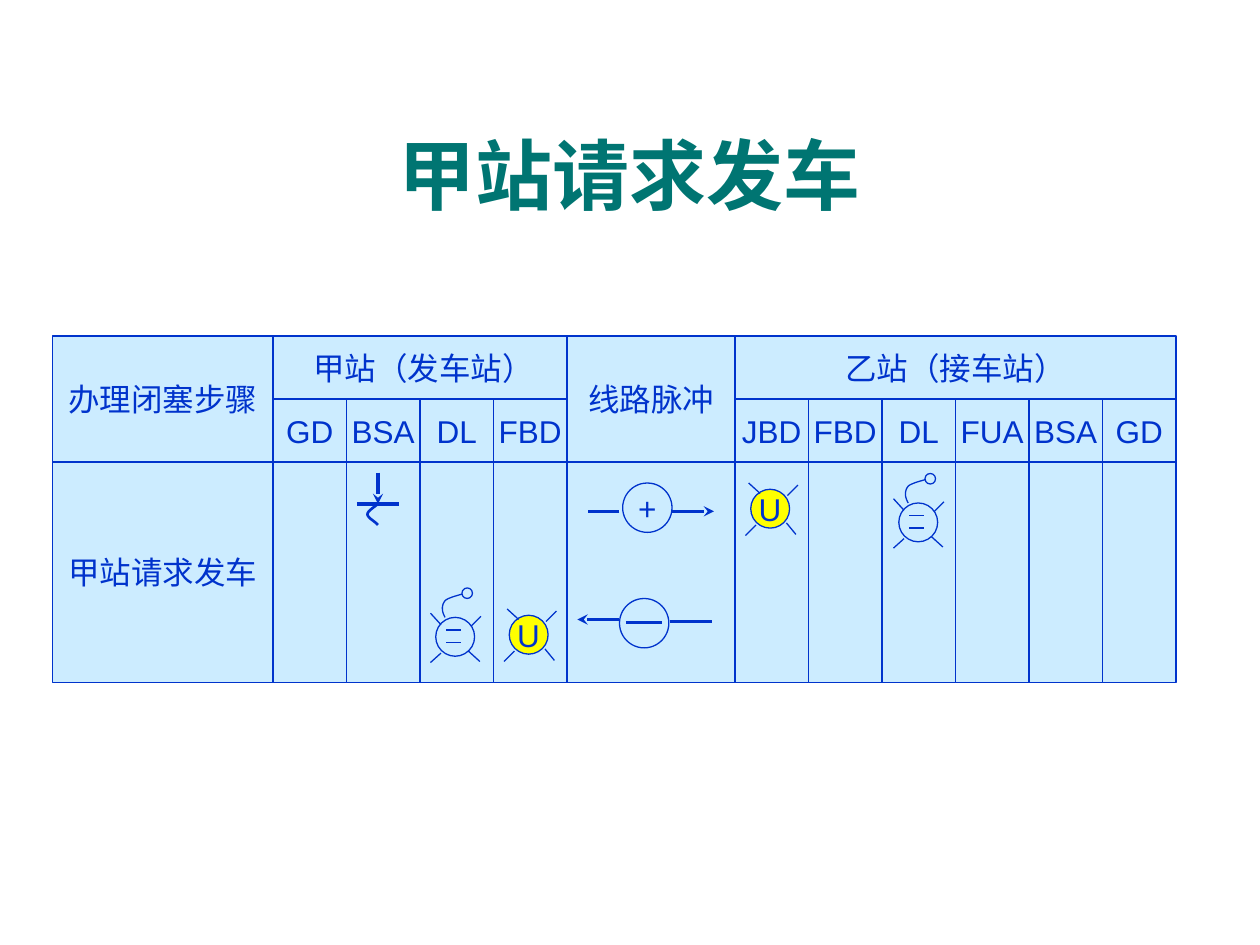
from lxml import etree
from pptx import Presentation
from pptx.dml.color import RGBColor
from pptx.enum.shapes import MSO_CONNECTOR, MSO_SHAPE
from pptx.enum.text import MSO_ANCHOR, PP_ALIGN
from pptx.oxml.ns import qn
from pptx.util import Pt

RECT, OVAL = MSO_SHAPE.RECTANGLE, MSO_SHAPE.OVAL
STRAIGHT = MSO_CONNECTOR.STRAIGHT
MIDDLE, CENTER = MSO_ANCHOR.MIDDLE, PP_ALIGN.CENTER
PX = 7620  # EMU per px, 120 px to the inch

COLORS = {"title": "007572", "ink": "0033CC", "cell": "CCECFF", "lamp": "FFFF00"}
THIN, MEDIUM, THICK = 0.75, 1.5, 1.75

# Grid of the table
TOP, HEAD, BODY, COL = 320, 60, 210, 70
STEP_X, STEP_W = 50, 210
A_X = STEP_X + STEP_W
A_COLS = ["GD", "BSA", "DL", "FBD"]
PULSE_X, PULSE_W = A_X + COL * len(A_COLS), 160
B_X = PULSE_X + PULSE_W
B_COLS = ["JBD", "FBD", "DL", "FUA", "BSA", "GD"]
BODY_Y = TOP + 2 * HEAD

# Symbol parts, measured from the top left of the symbol's circle
LAMP_D, PULSE_D, KNOB_D = 37, 47, 10
LAMP_RAYS = [(-2, -6, 9, 4), (35, 6, 45, -4), (5, 34, -5, 44), (34, 32, 43, 43)]
BELL_LINES = [(-5, -4, 5, 7), (34, 8, 43, -1), (5, 34, -5, 43), (31, 32, 42, 42),
              (10, 12, 24, 12), (10, 24, 24, 24)]
BELL_HOOK = [(9, 0), (6, -5), (5, -11), (9, -16), (12, -19), (25, -22), (28, -23)]


def bezier(p0, p1, p2, p3, steps=10):
    """Points along a cubic curve, without its start."""
    for i in range(1, steps + 1):
        t = i / steps
        u = 1 - t
        yield tuple(u**3 * a + 3 * u * u * t * b + 3 * u * t * t * c + t**3 * d
                    for a, b, c, d in zip(p0, p1, p2, p3))


class Board:
    def __init__(self, slide, font="Arial"):
        self.s = slide
        self.font = font

    def color(self, name):
        return RGBColor.from_string(COLORS[name])

    def label(self, sp, text, size, color="ink", bold=False, wrap=False):
        tf = sp.text_frame
        tf.word_wrap = wrap
        tf.vertical_anchor = MIDDLE
        p = tf.paragraphs[0]
        p.text = text
        p.alignment = CENTER
        p.font.name, p.font.size, p.font.bold = self.font, Pt(size), bold
        p.font.color.rgb = self.color(color)

    def title(self, x, y, w, h, text):
        sp = self.s.shapes.add_textbox(x * PX, y * PX, w * PX, h * PX)
        self.label(sp, text, 44, "title", bold=True, wrap=True)

    def outline(self, sp, width):
        sp.line.color.rgb = self.color("ink")
        sp.line.width = Pt(width)

    def shape(self, kind, x, y, w, h, text="", fill="cell"):
        sp = self.s.shapes.add_shape(kind, x * PX, y * PX, w * PX, h * PX)
        sp.shadow.inherit = False
        sp.fill.solid()
        sp.fill.fore_color.rgb = self.color(fill)
        self.outline(sp, THIN)
        if text:
            self.label(sp, text, 18)

    def cell(self, x, y, w, h, text=""):
        self.shape(RECT, x, y, w, h, text)

    def circle(self, x, y, d, text="", fill="cell"):
        self.shape(OVAL, x, y, d, d, text, fill)

    def line(self, x1, y1, x2, y2, width=THIN, arrow=False):
        c = self.s.shapes.add_connector(STRAIGHT, x1 * PX, y1 * PX, x2 * PX, y2 * PX)
        self.outline(c, width)
        sp_pr = c.element.spPr
        if arrow:
            etree.SubElement(sp_pr.find(qn("a:ln")), qn("a:tailEnd"), type="stealth")
        etree.SubElement(sp_pr, qn("a:effectLst"))

    def curve(self, points, width=THIN):
        """Open curve of cubic pieces: a start, then three points for each piece."""
        dots = [points[0]]
        for i in range(0, len(points) - 1, 3):
            dots.extend(bezier(*points[i:i + 4]))
        dots = [(round(x * PX), round(y * PX)) for x, y in dots]
        fb = self.s.shapes.build_freeform(*dots[0])
        fb.add_line_segments(dots[1:], close=False)
        sp = fb.convert_to_shape()
        sp.shadow.inherit = False
        sp.fill.background()
        self.outline(sp, width)

    def lines_from(self, x, y, lines):
        for x1, y1, x2, y2 in lines:
            self.line(x + x1, y + y1, x + x2, y + y2)

    def lamp(self, x, y):
        self.circle(x, y, LAMP_D, "U", "lamp")
        self.lines_from(x, y, LAMP_RAYS)

    def bell(self, x, y):
        self.circle(x, y, LAMP_D)
        self.lines_from(x, y, BELL_LINES)
        self.curve([(x + dx, y + dy) for dx, dy in BELL_HOOK])
        self.circle(x + 25, y - 28, KNOB_D)

    def station(self, x, name, columns):
        self.cell(x, TOP, COL * len(columns), HEAD, name)
        for i, text in enumerate(columns):
            self.cell(x + i * COL, TOP + HEAD, COL, HEAD + BODY)
            self.cell(x + i * COL, TOP + HEAD, COL, HEAD, text)


def main():
    prs = Presentation()
    prs.slide_width, prs.slide_height = 1200 * PX, 900 * PX
    b = Board(prs.slides.add_slide(prs.slide_layouts[6]))
    b.title(40, 90, 1120, 150, "甲站请求发车")

    # Table
    for x, w, head, body in [(STEP_X, STEP_W, "办理闭塞步骤", "甲站请求发车"),
                             (PULSE_X, PULSE_W, "线路脉冲", "")]:
        b.cell(x, TOP, w, 2 * HEAD, head)
        b.cell(x, BODY_Y, w, BODY, body)
    b.station(A_X, " 甲站（发车站）", A_COLS)
    b.station(B_X, "乙站（接车站）", B_COLS)

    # Push button
    b.line(340, 480, 380, 480, THICK)
    b.line(360, 450, 360, 480, THICK, arrow=True)
    b.curve([(360, 480), (355, 484), (350, 487), (350, 490),
             (350, 493), (359, 498), (360, 500)], MEDIUM)

    # Bells and lamps
    for x, y in [(415, 588), (856, 479)]:
        b.bell(x, y)
    for x, y in [(715, 466), (485, 586)]:
        b.lamp(x, y)

    # Positive pulse to the right
    b.circle(593, 460, PULSE_D, "+")
    b.line(640, 487, 680, 487, THICK, arrow=True)
    b.line(590, 487, 560, 487, THICK)

    # Negative pulse to the left
    b.circle(590, 570, PULSE_D)
    b.line(596, 593, 630, 593, THICK)
    b.line(590, 590, 550, 590, THICK, arrow=True)
    b.line(638, 592, 678, 592, THICK)

    prs.save("out.pptx")


if __name__ == "__main__":
    main()
